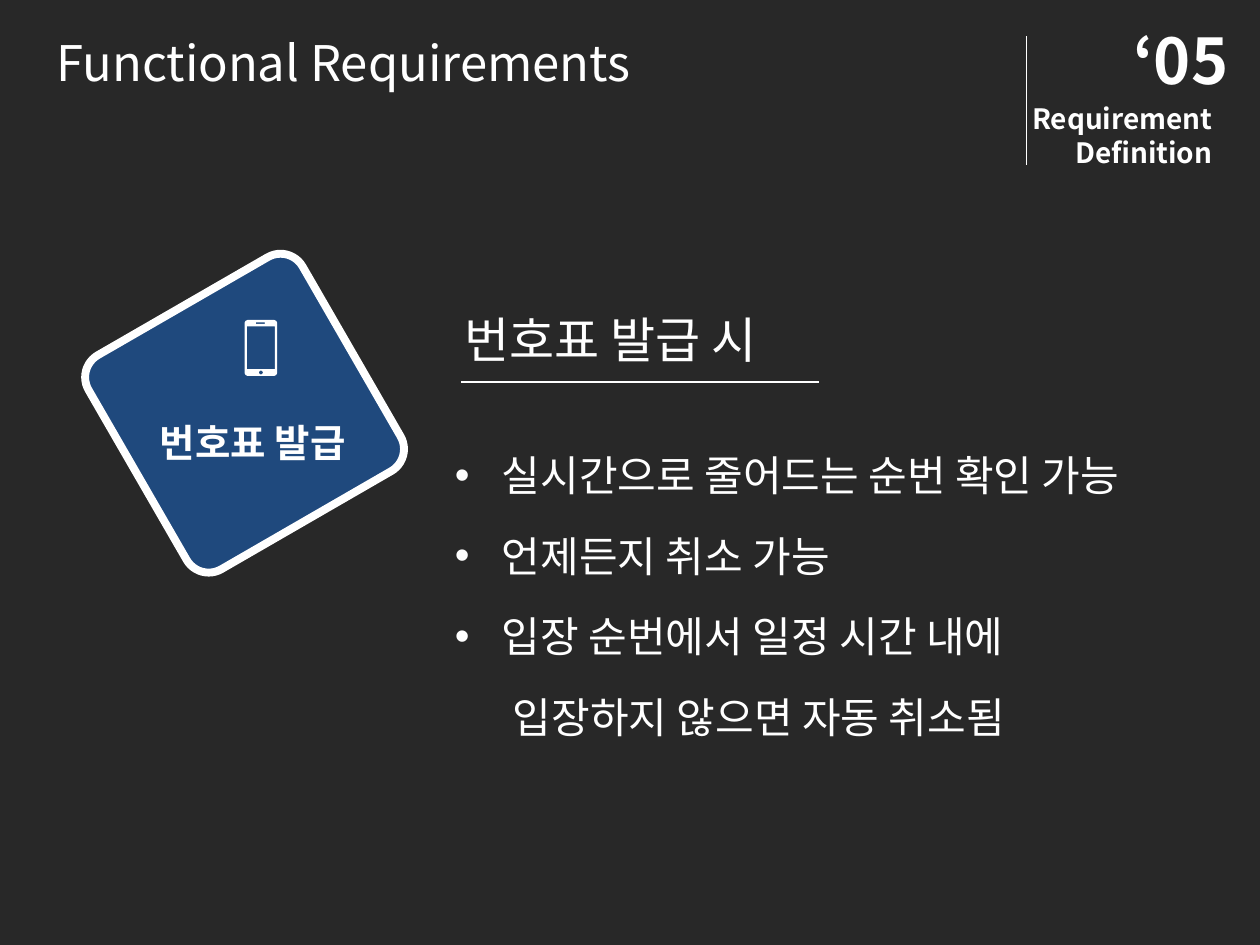
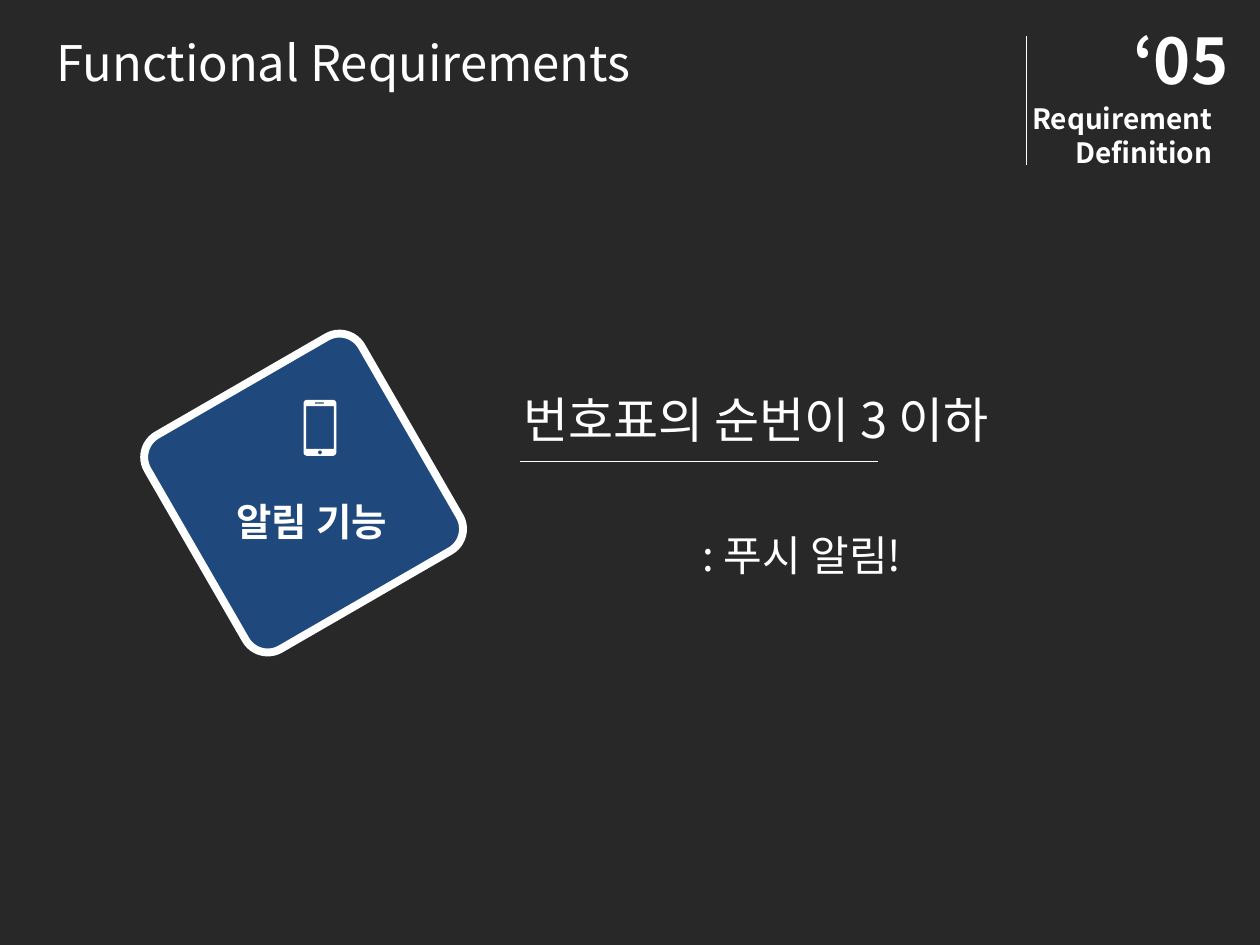
from dataclasses import dataclass
from math import cos, pi, sin

from lxml.etree import SubElement
from pptx import Presentation
from pptx.dml.color import RGBColor
from pptx.enum.shapes import MSO_CONNECTOR, MSO_SHAPE
from pptx.enum.text import MSO_AUTO_SIZE, PP_ALIGN as Align
from pptx.oxml.ns import qn
from pptx.slide import Slide
from pptx.util import Cm, Pt

FONT = "Noto Sans CJK KR"
COLORS = {"backdrop": "282828", "tile": "1F497D", "ink": "FFFFFF"}


def color(name: str) -> RGBColor:
    return RGBColor.from_string(COLORS[name])


@dataclass(frozen=True)
class TextStyle:
    size: float
    bold: bool = False
    align: Align = Align.LEFT
    line_spacing: float = 1.0


@dataclass(frozen=True)
class Line:
    text: str
    indent: float = 0  # cm
    bullet: bool = False


@dataclass(frozen=True)
class Feature:
    left: float  # cm, corner of the unrotated tile
    top: float
    label: str
    heading: str
    details: tuple[Line, ...]
    details_top: float  # cm below the tile's top


TITLE = TextStyle(28)
NUMBER = TextStyle(36, bold=True)
SECTION = TextStyle(16, bold=True, align=Align.RIGHT)
LABEL = TextStyle(22, bold=True, align=Align.CENTER, line_spacing=1.5)
DETAIL = TextStyle(24, align=Align.JUSTIFY, line_spacing=1.6)

HANGING = 0.95
FEATURES = (
    Feature(2.44, 5.84, "번호표 발급", "번호표 발급 시", (
        Line("실시간으로 줄어드는 순번 확인 가능", HANGING, True),
        Line("언제든지 취소 가능", HANGING, True),
        Line("입장 순번에서 일정 시간 내에", HANGING, True),
        Line("입장하지 않으면 자동 취소됨", 1.17),
    ), 2.49),
    Feature(3.63, 7.45, "알림 기능", "번호표의 순번이 3 이하",
            (Line(": 푸시 알림!", 3.81),), 2.49),
)


# Text and lines
def add_text(slide: Slide, left: float, top: float, width: float, height: float,
             lines: tuple[Line, ...], style: TextStyle) -> None:
    frame = slide.shapes.add_textbox(Cm(left), Cm(top), Cm(width), Cm(height)).text_frame
    frame.word_wrap = True
    frame.auto_size = MSO_AUTO_SIZE.SHAPE_TO_FIT_TEXT
    frame.text = "\n".join(line.text for line in lines)
    for paragraph, line in zip(frame.paragraphs, lines):
        paragraph.alignment = style.align
        paragraph.line_spacing = style.line_spacing
        properties = paragraph._p.get_or_add_pPr()
        properties.set("marL", str(Cm(line.indent)))
        if line.bullet:
            properties.set("indent", str(-Cm(line.indent)))
            SubElement(properties, qn("a:buFont"), typeface="Arial")
            SubElement(properties, qn("a:buChar"), char="•")
        for run in paragraph.runs:
            run.font.name = FONT
            run.font.size = Pt(style.size)
            run.font.bold = style.bold
            run.font.color.rgb = color("ink")
            SubElement(run._r.get_or_add_rPr(), qn("a:ea"), typeface=FONT)


def add_rule(slide: Slide, x1: float, y1: float, x2: float, y2: float) -> None:
    rule = slide.shapes.add_connector(
        MSO_CONNECTOR.STRAIGHT, Cm(x1), Cm(y1), Cm(x2), Cm(y2))
    rule.line.color.rgb = color("ink")
    rule.line.width = Pt(0.75)
    SubElement(rule._element.spPr, qn("a:effectLst"))


# Phone icon, measured in hundredths of a centimetre
def rounded_outline(left: float, top: float, right: float, bottom: float,
                    radius: float, steps: int = 6) -> list[tuple[float, float]]:
    centers = ((right - radius, bottom - radius), (left + radius, bottom - radius),
               (left + radius, top + radius), (right - radius, top + radius))
    return [(x + radius * cos(angle), y + radius * sin(angle))
            for corner, (x, y) in enumerate(centers)
            for angle in ((corner + step / steps) * pi / 2 for step in range(steps + 1))]


def add_phone(slide: Slide, left: float, top: float) -> None:
    body = rounded_outline(0, 0, 66, 113, 8)
    screen = [(5, 13), (5, 99), (61, 99), (61, 13)]
    speaker = rounded_outline(23, 5, 41, 8, 1.5)
    button = rounded_outline(29, 102, 37, 110, 4)
    builder = slide.shapes.build_freeform(*body[0], scale=Cm(0.01))
    builder.add_line_segments(body[1:])
    for hole in (screen, speaker, button):
        builder.move_to(*hole[0])
        builder.add_line_segments(hole[1:])
    phone = builder.convert_to_shape(Cm(left), Cm(top))
    phone.shadow.inherit = False
    phone.fill.solid()
    phone.fill.fore_color.rgb = color("ink")
    phone.line.fill.background()


# Shared header
def add_header(slide: Slide) -> None:
    add_text(slide, 0.89, 0.53, 13.4, 1.45, (Line("Functional Requirements"),), TITLE)
    add_text(slide, 22.6, 0.3, 2.8, 1.8, (Line("‘05"),), NUMBER)
    add_text(slide, 19.89, 1.93, 4.8, 1.62, (Line("Requirement"), Line("Definition")), SECTION)
    add_rule(slide, 20.7, 0.73, 20.7, 3.32)


# Tilted tile with its icon, heading and details
def add_feature(slide: Slide, feature: Feature) -> None:
    left, top = feature.left, feature.top
    add_text(slide, left + 6.48, top + feature.details_top, 15, 6.6, feature.details, DETAIL)

    tile = slide.shapes.add_shape(
        MSO_SHAPE.ROUNDED_RECTANGLE, Cm(left), Cm(top), Cm(4.98), Cm(4.98))
    tile.adjustments[0] = 0.103
    tile.rotation = 60
    tile.shadow.inherit = False
    tile.fill.solid()
    tile.fill.fore_color.rgb = color("tile")
    tile.line.color.rgb = color("ink")
    tile.line.width = Pt(4.5)

    add_phone(slide, left + 2.49, top + 0.61)
    add_text(slide, left + 0.23, top + 2.01, 4.85, 1.47, (Line(feature.label),), LABEL)
    add_text(slide, left + 6.68, top + 0.28, 11.2, 1.45, (Line(feature.heading),), TITLE)
    add_rule(slide, left + 6.86, top + 1.86, left + 14.07, top + 1.86)


def main() -> None:
    deck = Presentation()
    deck.slide_width, deck.slide_height = Cm(25.4), Cm(19.05)
    backdrop = deck.slide_master.background.fill
    backdrop.solid()
    backdrop.fore_color.rgb = color("backdrop")
    for feature in FEATURES:
        slide = deck.slides.add_slide(deck.slide_layouts[6])
        add_header(slide)
        add_feature(slide, feature)
    deck.save("out.pptx")


if __name__ == "__main__":
    main()
